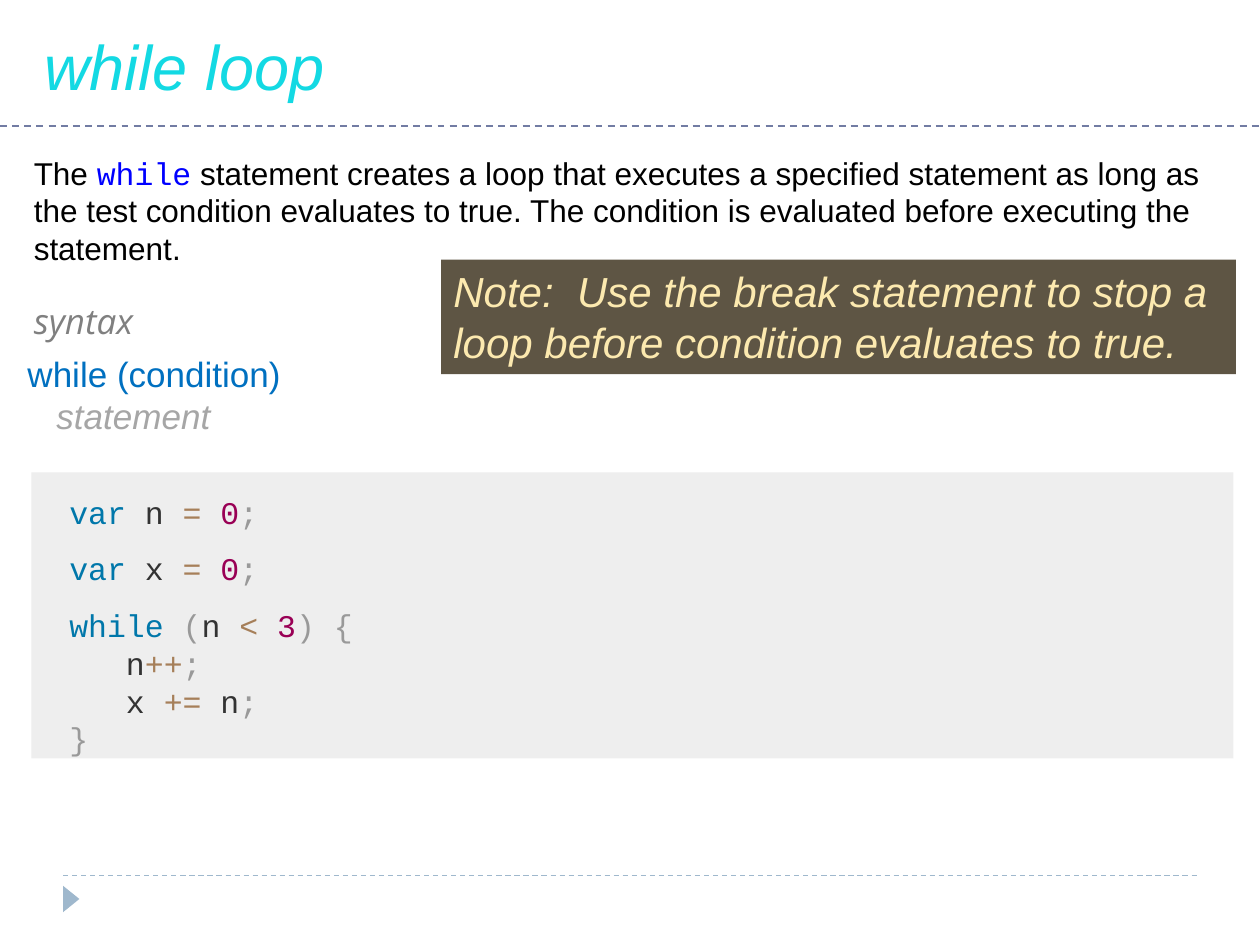
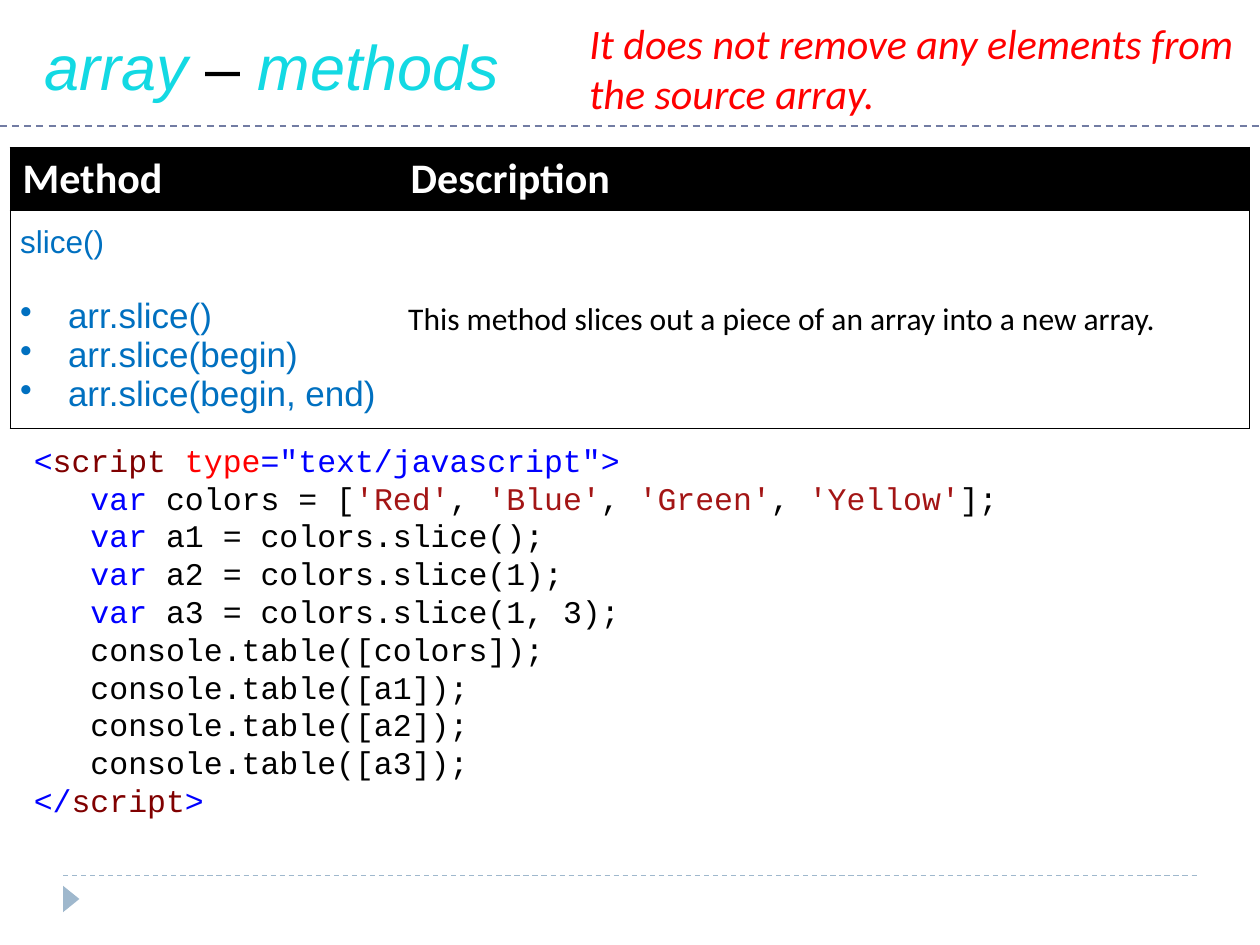
from pptx import Presentation
from pptx.dml.color import RGBColor
from pptx.enum.dml import MSO_LINE
from pptx.enum.shapes import MSO_CONNECTOR, MSO_SHAPE
from pptx.enum.text import MSO_ANCHOR, MSO_AUTO_SIZE, PP_ALIGN
from pptx.oxml.ns import qn
from pptx.util import Inches, Pt
from lxml.etree import SubElement, Element

BLACK = RGBColor(0x00, 0x00, 0x00)
WHITE = RGBColor(0xFF, 0xFF, 0xFF)
CYAN = RGBColor(0x13, 0xD9, 0xE3)
RULE = RGBColor(0x72, 0x7C, 0xA3)
MIST = RGBColor(0x9F, 0xB8, 0xCD)
AZURE = RGBColor(0x00, 0x70, 0xC0)
BLUE = RGBColor(0x00, 0x00, 0xFF)
RED = RGBColor(0xFF, 0x00, 0x00)
GRAY = RGBColor(0x80, 0x80, 0x80)
SILVER = RGBColor(0xA6, 0xA6, 0xA6)
BROWN = RGBColor(0x5E, 0x55, 0x44)
CREAM = RGBColor(0xFC, 0xE9, 0xAF)
PANEL = RGBColor(0xEE, 0xEE, 0xEE)
WORD = RGBColor(0x00, 0x77, 0xAA)
NAME = RGBColor(0x33, 0x33, 0x33)
SIGN = RGBColor(0xA6, 0x7F, 0x59)
DIGIT = RGBColor(0x99, 0x00, 0x55)
MARK = RGBColor(0x99, 0x99, 0x99)
TAG = RGBColor(0x80, 0x00, 0x00)
QUOTE = RGBColor(0xA3, 0x15, 0x15)

SANS, MONO, BODY = "Arial", "Courier New", "Calibri"
CHAR = 0.15


def write(frame, lines, size, face, slant=False, bold=False):
    """Fill a frame with (indent, runs) lines; a run is text, colour, slant, face."""
    for i, (indent, runs) in enumerate(lines):
        para = frame.paragraphs[0] if i == 0 else frame.add_paragraph()
        para.alignment = PP_ALIGN.LEFT
        font = para.font
        font.size, font.name, font.italic, font.bold = Pt(size), face, slant, bold
        if indent:
            para._p.get_or_add_pPr().set("marL", str(Inches(indent)))
        for text, color, *extra in runs:
            run = para.add_run()
            run.text = text
            run.font.color.rgb = color
            if extra:
                run.font.italic = extra[0]
            if len(extra) > 1:
                run.font.name = extra[1]


def fit(frame):
    """Let a frame wrap its text and grow with it."""
    frame.word_wrap = True
    frame.auto_size = MSO_AUTO_SIZE.SHAPE_TO_FIT_TEXT
    frame.vertical_anchor = MSO_ANCHOR.TOP


def add_text(slide, box, lines, size, face=SANS, slant=False):
    """Add a text box."""
    frame = slide.shapes.add_textbox(*map(Inches, box)).text_frame
    fit(frame)
    write(frame, lines, size, face, slant)


def add_block(slide, kind, box, fill):
    """Add a filled shape without outline."""
    shape = slide.shapes.add_shape(kind, *map(Inches, box))
    shape.shadow.inherit = False
    shape.fill.solid()
    shape.fill.fore_color.rgb = fill
    shape.line.fill.background()
    return shape


def add_rule(slide, left, right, top, color, width):
    """Add a dashed horizontal line."""
    ends = map(Inches, (left, top, right, top))
    rule = slide.shapes.add_connector(MSO_CONNECTOR.STRAIGHT, *ends)
    rule.line.color.rgb = color
    rule.line.width = Pt(width)
    rule.line.dash_style = MSO_LINE.DASH
    SubElement(rule._element.spPr, qn("a:effectLst"))


def add_slide(deck, runs):
    """Add a slide with its title, rules and corner arrow."""
    slide = deck.slides.add_slide(deck.slide_layouts[5])
    add_rule(slide, 0.5, 9.5, 6.95, MIST, 0.75)
    arrow = add_block(slide, MSO_SHAPE.ISOSCELES_TRIANGLE, (0.46, 7.07, 0.21, 0.13), MIST)
    arrow.rotation = 90
    title = slide.shapes.title
    title.left, title.top, title.width, title.height = map(Inches, (0.25, 0.17, 9.42, 0.71))
    fit(title.text_frame)
    write(title.text_frame, [(0, runs)], 36, SANS, True)
    add_rule(slide, 0, 10, 1, RULE, 1)
    return slide


def edge(cell, sides):
    """Draw black borders on the named sides and clear the others."""
    props = cell._tc.get_or_add_tcPr()
    for i, side in enumerate("LRTB"):
        line = Element(qn("a:ln" + side), w=str(Pt(0.75)))
        if side in sides:
            fill = SubElement(line, qn("a:solidFill"))
            SubElement(fill, qn("a:srgbClr"), val=str(BLACK))
        else:
            SubElement(line, qn("a:noFill"))
        props.insert(i, line)


def add_table(slide):
    """Add the table that describes the method."""
    size = map(Inches, (0.08, 1.17, 9.84, 2.23))
    table = slide.shapes.add_table(2, 2, *size).table
    table.first_row = table.horz_banding = False
    for col, width in zip(table.columns, (3.08, 6.76)):
        col.width = Inches(width)
    for row, height in zip(table.rows, (0.5, 1.73)):
        row.height = Inches(height)
    for col, (text, side) in enumerate((("Method", "L"), ("Description", "R"))):
        head, cell = table.cell(0, col), table.cell(1, col)
        head.fill.solid()
        head.fill.fore_color.rgb = BLACK
        write(head.text_frame, [(0, [(text, WHITE)])], 24, BODY, bold=True)
        cell.fill.background()
        cell.vertical_anchor = MSO_ANCHOR.MIDDLE
        cell.margin_left = cell.margin_right = Inches(0.08)
        cell.margin_top = cell.margin_bottom = Inches(0.06)
        edge(head, side + "TB")
        edge(cell, side + "TB")
    calls = ("slice()", "arr.slice()", "arr.slice(begin)", "arr.slice(begin, end)")
    frame = table.cell(1, 0).text_frame
    write(frame, [(0.38 if i else 0, [(c, AZURE)]) for i, c in enumerate(calls)], 20, SANS)
    first, *items = frame.paragraphs
    first.font.size = Pt(18)
    items[0].space_before = Pt(21)
    for item in items:
        props = item._p.get_or_add_pPr()
        props.set("indent", str(-Inches(0.38)))
        bullet = Element(qn("a:buChar"), char="•")
        props.find(qn("a:defRPr")).addprevious(bullet)
    note = "This method slices out a piece of an array into a new array."
    write(table.cell(1, 1).text_frame, [(0, [(note, BLACK)])], 18, BODY)


def add_panel(slide):
    """Add the gray panel with the loop code."""
    panel = add_block(slide, MSO_SHAPE.RECTANGLE, (0.25, 3.75, 9.54, 2.27), PANEL)
    frame = panel.text_frame
    fit(frame)
    frame.vertical_anchor = MSO_ANCHOR.MIDDLE
    frame.margin_left = frame.margin_right = frame.margin_top = frame.margin_bottom = 0
    near, far = 2 * CHAR, 5 * CHAR
    lines = [
        (near, [("var", WORD), (f" {name} ", NAME), ("= ", SIGN), ("0", DIGIT), (";", MARK)])
        for name in "nx"
    ]
    lines += [
        (near, [("while ", WORD), ("(", MARK), ("n ", NAME), ("< ", SIGN),
                ("3", DIGIT), (") {", MARK)]),
        (far, [("n", NAME), ("++", SIGN), (";", MARK)]),
        (far, [("x ", NAME), ("+=", SIGN), (" n", NAME), (";", MARK)]),
        (near, [("}", MARK)]),
    ]
    write(frame, lines, 18, MONO)
    for para in frame.paragraphs[:3]:
        para.line_spacing = 1.5


def loop_slide(deck):
    """Build the slide on the while loop."""
    slide = add_slide(deck, [("while loop", CYAN)])
    add_text(slide, (0.17, 1.17, 9.67, 1.01), [(0, [
        ("The ", BLACK),
        ("while", BLUE, False, MONO),
        (" statement creates a loop that executes a specified statement as long as "
         "the test condition evaluates to true. The condition is evaluated before "
         "executing the statement.", BLACK),
    ])], 18)
    add_text(slide, (0.17, 2.33, 9.67, 0.44), [(0, [("syntax", GRAY)])], 20, "Open Sans", True)
    add_text(slide, (0.12, 2.75, 9.67, 0.77), [
        (0, [("while (condition)", AZURE)]),
        (0.23, [("statement", SILVER, True)]),
    ], 20)
    note = add_block(slide, MSO_SHAPE.RECTANGLE, (3.5, 2.06, 6.31, 0.91), BROWN)
    fit(note.text_frame)
    text = "Note:  Use the break statement to stop a loop before condition evaluates to true."
    write(note.text_frame, [(0, [(text, CREAM)])], 24, SANS, True)
    add_panel(slide)


def array_slide(deck):
    """Build the slide on the slice method."""
    slide = add_slide(deck, [("array", CYAN), (" – ", BLACK, False), ("methods", CYAN)])
    add_table(slide)
    text = "It does not remove any elements from the source array."
    add_text(slide, (4.58, 0.09, 5.33, 0.91), [(0, [(text, RED)])], 24, BODY, True)
    step = 3 * CHAR
    names = [("var", BLUE), (" colors = [", BLACK)]
    for i, name in enumerate(("Red", "Blue", "Green", "Yellow")):
        names += [(", ", BLACK)] if i else []
        names.append((f"'{name}'", QUOTE))
    names.append(("];", BLACK))
    lines = [
        (0, [("<", BLUE), ("script ", TAG), ("type", RED), ('="text/javascript">', BLUE)]),
        (step, names),
    ]
    for i, args in enumerate(("", "1", "1, 3"), 1):
        lines.append((step, [("var", BLUE), (f" a{i} = colors.slice({args});", BLACK)]))
    for name in ("colors", "a1", "a2", "a3"):
        lines.append((step, [(f"console.table([{name}]);", BLACK)]))
    lines.append((0, [("</", BLUE), ("script", TAG), (">", BLUE)]))
    add_text(slide, (0.17, 3.45, 9.67, 3.13), lines, 18, MONO)


def main():
    """Build and save the deck."""
    deck = Presentation()
    deck.slide_width, deck.slide_height = Inches(10), Inches(7.5)
    loop_slide(deck)
    array_slide(deck)
    deck.save("out.pptx")


main()
